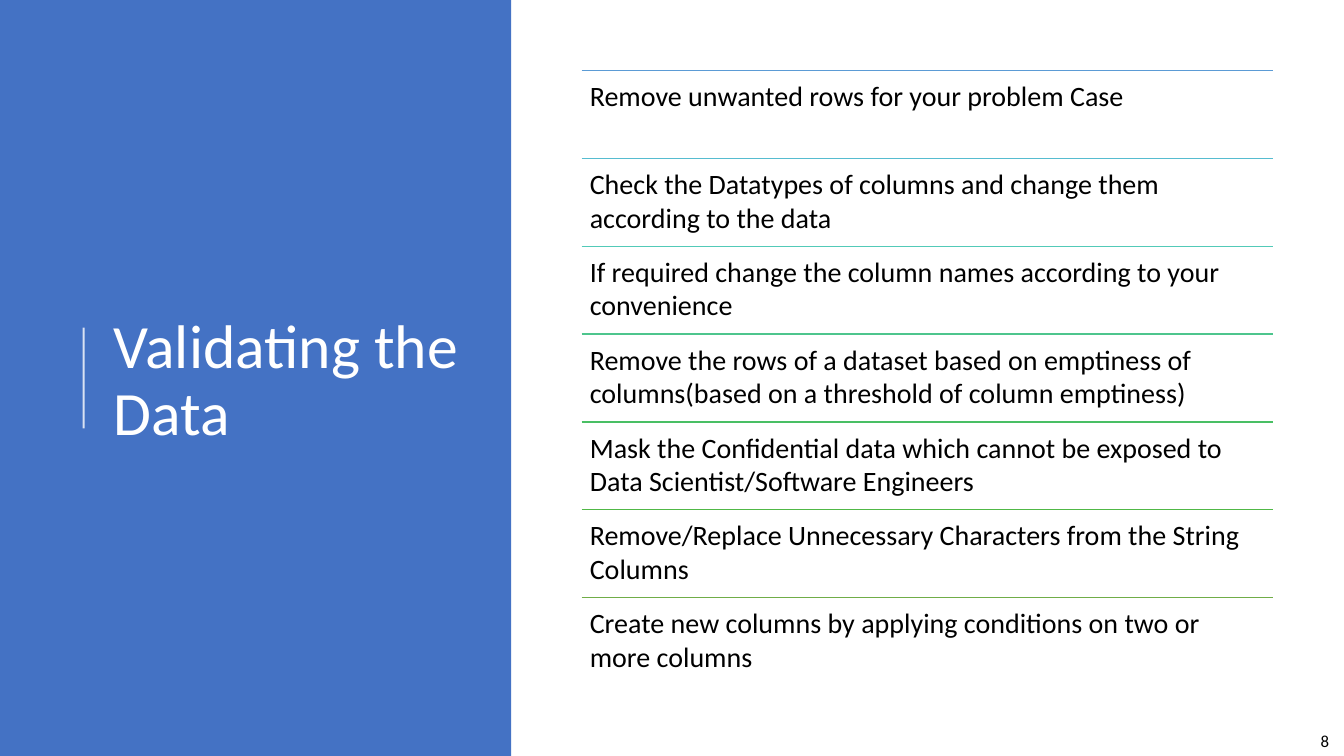
"""Build the slide about validating the data."""
import pptx
import pptx.dml.color
import pptx.enum.shapes
import pptx.enum.text
import pptx.oxml.ns
import pptx.util
from lxml import etree
from pptx.util import Inches

RGBColor = pptx.dml.color.RGBColor
WHITE = RGBColor(0xFF, 0xFF, 0xFF)
BLACK = RGBColor(0, 0, 0)
BLUE = RGBColor(0x44, 0x72, 0xC4)
FONT = "Calibri"

STEPS = [
    ("Remove unwanted rows for your problem Case",
     RGBColor(0x5B, 0x9B, 0xD5)),
    ("Check the Datatypes of columns and change them according to the data",
     RGBColor(0x56, 0xBC, 0xD0)),
    ("If required change the column names according to your convenience",
     RGBColor(0x52, 0xCA, 0xB8)),
    ("Remove the rows of a dataset based on emptiness of "
     "columns(based on a threshold of column emptiness)",
     RGBColor(0x4D, 0xC5, 0x8D)),
    ("Mask the Confidential data which cannot be exposed to "
     "Data Scientist/Software Engineers",
     RGBColor(0x49, 0xBF, 0x64)),
    ("Remove/Replace Unnecessary Characters from the String Columns",
     RGBColor(0x50, 0xB8, 0x46)),
    ("Create new columns by applying conditions on two or more columns",
     RGBColor(0x70, 0xAD, 0x47)),
]
STEPS_LEFT, STEPS_TOP, STEPS_WIDTH, STEPS_HEIGHT = 5.77, 0.7, 6.86, 6.1


def write(frame, text, size, color):
    """Put one left-aligned paragraph into a text frame."""
    frame.text = text
    paragraph = frame.paragraphs[0]
    paragraph.alignment = pptx.enum.text.PP_ALIGN.LEFT
    font = paragraph.runs[0].font
    font.name = FONT
    font.size = pptx.util.Pt(size)
    font.color.rgb = color
    return paragraph


def add_panel(slide):
    """Add the blue panel behind everything else."""
    panel = slide.shapes.add_shape(
        pptx.enum.shapes.MSO_SHAPE.RECTANGLE, 0, 0, Inches(5.07), Inches(7.5))
    panel.shadow.inherit = False
    panel.fill.solid()
    panel.fill.fore_color.rgb = BLUE
    panel.line.fill.background()
    slide.shapes.title._element.addprevious(panel._element)


def format_title(title, text):
    """Move the title onto the panel and format it."""
    title.left, title.top = Inches(1.03), Inches(0.78)
    title.width, title.height = Inches(3.69), Inches(6.02)
    frame = title.text_frame
    frame.word_wrap = True
    frame.auto_size = pptx.enum.text.MSO_AUTO_SIZE.NONE
    frame.vertical_anchor = pptx.enum.text.MSO_ANCHOR.MIDDLE
    write(frame, text, 44, WHITE).line_spacing = 0.9


def add_rule(slide, start, end, color, width):
    """Add a straight line without a shadow."""
    rule = slide.shapes.add_connector(
        pptx.enum.shapes.MSO_CONNECTOR.STRAIGHT,
        *(Inches(length) for length in start + end))
    rule.line.color.rgb = color
    rule.line.width = pptx.util.Pt(width)
    etree.SubElement(rule._element.spPr, pptx.oxml.ns.qn("a:effectLst"))
    return rule


def set_opacity(rule, percent):
    """Make a line partly transparent."""
    color = rule._element.spPr.find(".//" + pptx.oxml.ns.qn("a:srgbClr"))
    alpha = etree.SubElement(color, pptx.oxml.ns.qn("a:alpha"))
    alpha.set("val", str(percent * 1000))


def add_text(slide, position, text, size, inset):
    """Add a wrapping text box with equal insets."""
    box = slide.shapes.add_textbox(*(Inches(length) for length in position))
    frame = box.text_frame
    frame.word_wrap = True
    frame.margin_left = frame.margin_right = Inches(inset)
    frame.margin_top = frame.margin_bottom = Inches(inset)
    write(frame, text, size, BLACK)
    return frame


def add_steps(slide):
    """Add the evenly spaced steps, each below its coloured rule."""
    pitch = STEPS_HEIGHT / len(STEPS)
    right = STEPS_LEFT + STEPS_WIDTH
    for index, (step, color) in enumerate(STEPS):
        top = STEPS_TOP + index * pitch
        add_rule(slide, (STEPS_LEFT, top), (right, top), color, 1)
        add_text(slide, (STEPS_LEFT, top, STEPS_WIDTH, pitch), step, 20, 0.08)


def add_page_number(slide, number):
    """Add the page number in the bottom right corner."""
    frame = add_text(slide, (13, 7.2, 0.33, 0.3), number, 12, 0.1)
    frame.margin_top = frame.margin_bottom = Inches(0.05)
    frame.word_wrap = False


def main():
    """Build and save the slide."""
    deck = pptx.Presentation()
    deck.slide_width, deck.slide_height = Inches(13.33), Inches(7.5)
    slide = deck.slides.add_slide(deck.slide_layouts.get_by_name("Title Only"))
    add_panel(slide)
    format_title(slide.shapes.title, "Validating the Data")
    set_opacity(add_rule(slide, (0.83, 4.25), (0.83, 3.25), WHITE, 1.5), 80)
    add_steps(slide)
    add_page_number(slide, "8")
    deck.save("out.pptx")


if __name__ == "__main__":
    main()
